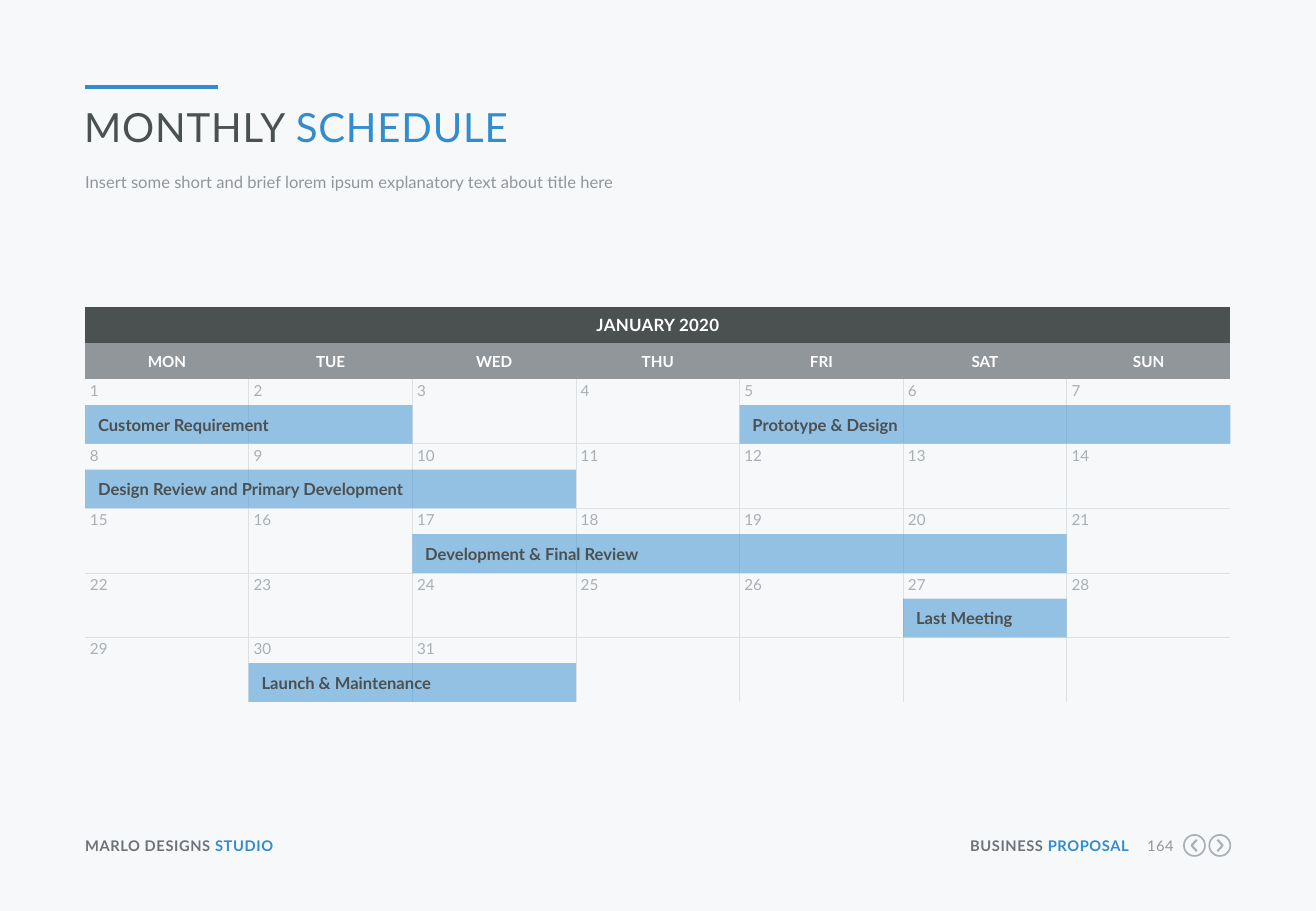
from lxml import etree
from pptx import Presentation
from pptx.dml.color import RGBColor
from pptx.enum.dml import MSO_THEME_COLOR
from pptx.enum.shapes import MSO_CONNECTOR, MSO_SHAPE
from pptx.enum.text import MSO_ANCHOR, MSO_AUTO_SIZE, PP_ALIGN
from pptx.oxml.ns import qn
from pptx.util import Cm, Pt

LEFT, MID, RIGHT = PP_ALIGN.LEFT, PP_ALIGN.CENTER, PP_ALIGN.RIGHT
TOP, CENTRE = MSO_ANCHOR.TOP, MSO_ANCHOR.MIDDLE
FIXED = MSO_AUTO_SIZE.NONE
RECT, OVAL = MSO_SHAPE.RECTANGLE, MSO_SHAPE.OVAL
STRAIGHT = MSO_CONNECTOR.STRAIGHT

BLUE = RGBColor(0x32, 0x8C, 0xCD)
DARK = RGBColor(0x4B, 0x50, 0x50)
SLATE = RGBColor(0x6E, 0x73, 0x78)
GREY = RGBColor(0x91, 0x96, 0x9B)
SILVER = RGBColor(0xAA, 0xAF, 0xB4)
RULE = RGBColor(0xDC, 0xE1, 0xE6)
PAPER = RGBColor(0xF6, 0xF8, 0xFA)
WHITE = RGBColor(0xFF, 0xFF, 0xFF)

TITLE = [("MONTHLY ", DARK), ("SCHEDULE", BLUE)]
INTRO = [("Insert some short and brief lorem ipsum explanatory text about title here", GREY)]
MONTH = "JANUARY 2020"
DAYS = ["MON", "TUE", "WED", "THU", "FRI", "SAT", "SUN"]
LAST = 31
WEEKS = 5
TASKS = [
    (0, 0, 2, "Customer Requirement"),
    (0, 4, 3, "Prototype & Design"),
    (2, 2, 4, "Development & Final Review"),
    (1, 0, 3, "Design Review and Primary Development"),
    (4, 1, 2, "Launch & Maintenance"),
    (3, 5, 1, "Last Meeting"),
]
FOOT = [
    (1.78, 5.36, LEFT, True, [("MARLO DESIGNS ", SLATE), ("STUDIO", BLUE)]),
    (20.12, 3.48, RIGHT, True, [("BUSINESS ", SLATE), ("PROPOSAL", BLUE)]),
    (23.8, 0.74, RIGHT, False, [("164", GREY)]),
]
ARROWS = [(24.97, -1), (25.5, 1)]

EDGE, WIDE, GRID = 1.78, 23.94, 6.43
HEAD, WEEK, BAR = 0.75, 1.35, 0.81
DAY = WIDE / len(DAYS)
FLAT = dict(margin_left=0, margin_right=0, margin_top=0, margin_bottom=0)
BOX = dict(FLAT, word_wrap=True, auto_size=FIXED, vertical_anchor=TOP)
CELL = dict(margin_left=Cm(0.1), margin_right=Cm(0.1), margin_top=Cm(0.05), margin_bottom=Cm(0.05))


def style(item, looks):
    for name, value in looks.items():
        setattr(item, name, value)


def write(frame, runs, size, bold=False, align=LEFT, gap=0):
    line = frame.paragraphs[0]
    style(line, dict(alignment=align, space_before=Pt(0)))
    for text, color in runs:
        run = line.add_run()
        run.text = text
        style(run.font, dict(name="Lato", size=Pt(size), bold=bold))
        run.font.color.rgb = color
        run.font._element.set("spc", str(gap))
    return line


def place(shape, left, top, width, height):
    style(shape, dict(left=Cm(left), top=Cm(top), width=Cm(width), height=Cm(height)))
    style(shape.text_frame, BOX)


def fill(item, color):
    item.fill.solid()
    item.fill.fore_color.rgb = color


def border(cell, sides):
    props = cell._tc.get_or_add_tcPr()
    for side in sides:
        line = etree.SubElement(props, qn("a:ln" + side), w=str(Pt(0.5)))
        paint = etree.SubElement(line, qn("a:solidFill"))
        etree.SubElement(paint, qn("a:srgbClr"), val=str(RULE))


def draw_head(slide):
    title, intro = slide.placeholders
    place(title, 1.76, 2.13, WIDE, 1.04)
    write(title.text_frame, TITLE, 23.8, gap=50)
    place(intro, EDGE, 3.56, WIDE, 0.53)
    write(intro.text_frame, INTRO, 9.8).line_spacing = Pt(13)
    rule = slide.shapes.add_connector(STRAIGHT, Cm(EDGE), Cm(1.82), Cm(4.55), Cm(1.82))
    rule.line.color.rgb = BLUE
    rule.line.width = Pt(2.25)
    etree.SubElement(rule._element.spPr, qn("a:effectLst"))


def draw_grid(slide):
    frame = slide.shapes.add_table(WEEKS + 2, len(DAYS), Cm(EDGE), Cm(GRID),
                                   Cm(WIDE), Cm(2 * HEAD + WEEKS * WEEK))
    table = frame.table
    style(table, dict(first_row=False, horz_banding=False))
    table._tbl.tblPr.find(qn("a:tableStyleId")).text = "{2D5ABB26-0587-4C30-8999-92F81FD0307C}"
    for col in table.columns:
        col.width = Cm(DAY)
    for num, row in enumerate(table.rows):
        row.height = Cm(HEAD if num < 2 else WEEK)
    table.cell(0, 0).merge(table.cell(0, len(DAYS) - 1))
    top = table.cell(0, 0)
    style(top, dict(CELL, vertical_anchor=CENTRE))
    fill(top, DARK)
    write(top.text_frame, [(MONTH, WHITE)], 10, True, MID, 20)
    for col, name in enumerate(DAYS):
        cell = table.cell(1, col)
        style(cell, dict(CELL, vertical_anchor=CENTRE))
        fill(cell, GREY)
        write(cell.text_frame, [(name, WHITE)], 9, True, MID)
        for week in range(WEEKS):
            cell = table.cell(week + 2, col)
            style(cell, CELL)
            inner = dict(L=col > 0, R=col < len(DAYS) - 1, T=week > 0, B=week < WEEKS - 1)
            border(cell, [side for side, shown in inner.items() if shown])
            cell.fill.background()
            date = week * len(DAYS) + col + 1
            if date <= LAST:
                write(cell.text_frame, [(str(date), SILVER)], 9)


def draw_tasks(slide):
    for week, first, days, text in TASKS:
        top = GRID + 2 * HEAD + (week + 1) * WEEK - BAR
        bar = slide.shapes.add_shape(RECT, Cm(EDGE + first * DAY), Cm(top), Cm(days * DAY), Cm(BAR))
        bar.shadow.inherit = False
        bar.line.fill.background()
        fill(bar, BLUE)
        tint = bar._element.spPr.find(qn("a:solidFill"))[0]
        etree.SubElement(tint, qn("a:alpha"), val="50000")
        style(bar.text_frame, dict(BOX, margin_left=Cm(0.27), vertical_anchor=CENTRE))
        write(bar.text_frame, [(text, DARK)], 9.8, True)


def draw_foot(slide):
    for left, width, align, bold, runs in FOOT:
        box = slide.shapes.add_textbox(0, 0, 0, 0)
        place(box, left, 17.5, width, 0.38)
        write(box.text_frame, runs, 8.7, bold, align, 30)
    for mid, way in ARROWS:
        ring = slide.shapes.add_shape(OVAL, Cm(mid - 0.22), Cm(17.46), Cm(0.44), Cm(0.44))
        back, tip = Cm(mid - 0.05 * way), Cm(mid + 0.06 * way)
        path = slide.shapes.build_freeform(back, Cm(17.56))
        path.add_line_segments([(tip, Cm(17.68)), (back, Cm(17.8))], close=False)
        for part, width in ((ring, 1), (path.convert_to_shape(), 1.25)):
            part.shadow.inherit = False
            part.fill.background()
            part.line.color.rgb = SILVER
            part.line.width = Pt(width)


def main():
    """Build the monthly schedule slide."""
    deck = Presentation()
    style(deck, dict(slide_width=Cm(27.51), slide_height=Cm(19.05)))
    slide = deck.slides.add_slide(deck.slide_layouts[2])
    fill(slide.background, PAPER)
    for draw in (draw_head, draw_grid, draw_tasks, draw_foot):
        draw(slide)
    deck.save("out.pptx")


if __name__ == "__main__":
    main()
